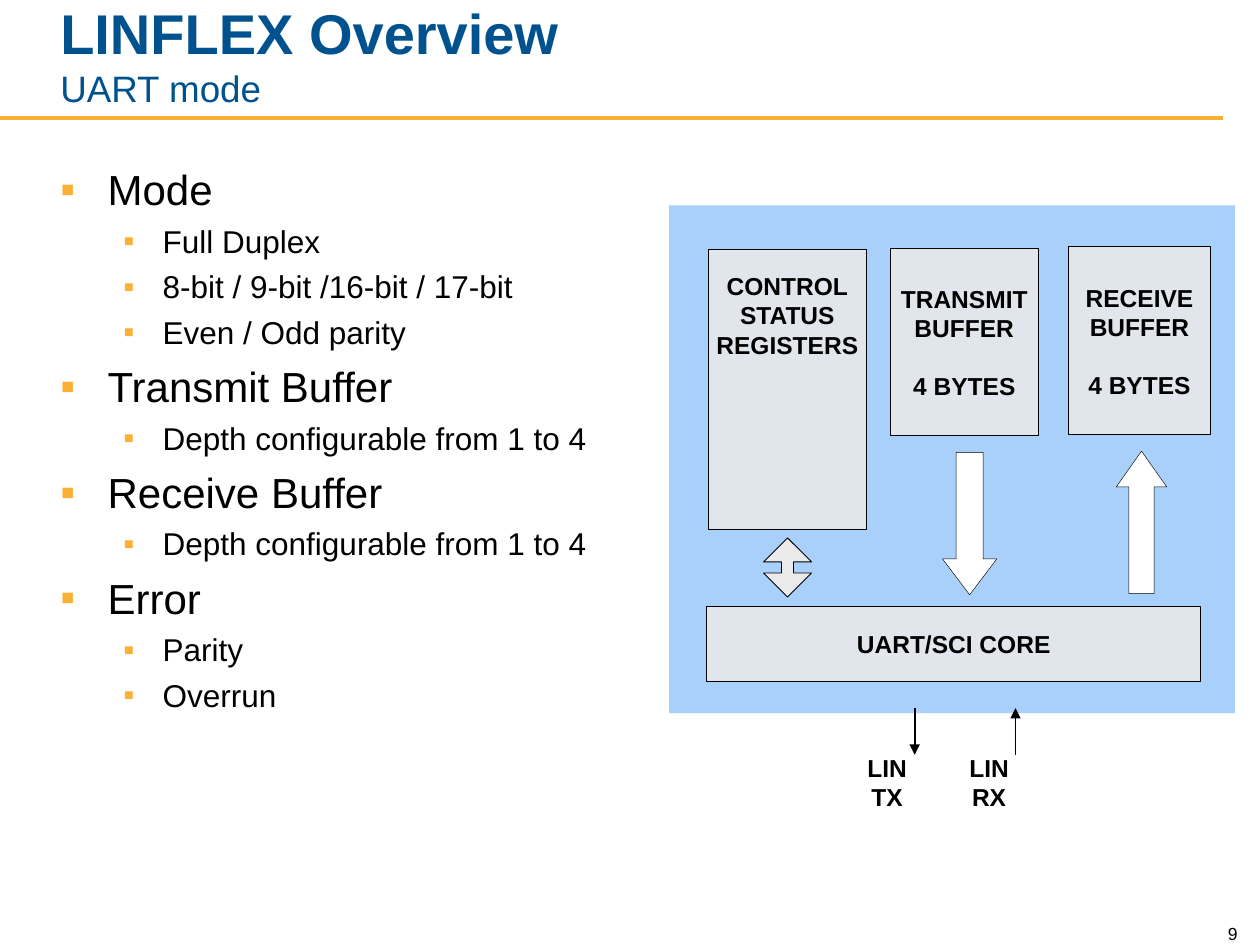
from lxml import etree
from pptx import Presentation
from pptx.dml.color import RGBColor
from pptx.enum import shapes, text
from pptx.oxml import ns
from pptx.util import Pt

COLORS = {
    "black": "000000", "white": "FFFFFF", "blue": "00528E",
    "amber": "FBB034", "panel": "7AB7FA", "block": "EAEAEA",
}
SHAPE = shapes.MSO_SHAPE
ALIGN = text.PP_ALIGN
ANCHOR = text.MSO_ANCHOR
LABEL = {"size": Pt(14), "bold": True}

OUTLINE = [
    ("Mode", ["Full Duplex", "8-bit / 9-bit /16-bit / 17-bit", "Even / Odd parity"]),
    ("Transmit Buffer", ["Depth configurable from 1 to 4"]),
    ("Receive Buffer", ["Depth configurable from 1 to 4"]),
    ("Error", ["Parity", "Overrun"]),
]
# Per level: left margin, hanging indent, space before, font size
LEVELS = [(27, 27, 5.7, 24), (58.5, 22.5, 4.4, 18)]


def rgb(name):
    return RGBColor.from_string(COLORS[name])


def sub(parent, tag, **attrs):
    return etree.SubElement(parent, ns.qn(tag), **attrs)


def format_font(font, color="black", **values):
    for name, value in {"name": "Arial", **values}.items():
        setattr(font, name, value)
    font.color.rgb = rgb(color)


def add_run(p, content, color="black", **values):
    r = p.add_run()
    r.text = content
    format_font(r.font, color, **values)


def add_text(s, box, anchor=ANCHOR.TOP, **frame):
    tf = s.shapes.add_textbox(*map(Pt, box)).text_frame
    for name, value in {"word_wrap": True, "vertical_anchor": anchor, **frame}.items():
        setattr(tf, name, value)
    return tf


def add_title(s, title, subtitle):
    p = add_text(s, (27.4, 12.2, 588.2, 54), ANCHOR.BOTTOM).paragraphs[0]
    add_run(p, title, "blue", size=Pt(32), bold=True)
    p.add_line_break()
    add_run(p, subtitle, "blue", size=Pt(21))


def add_outline(s):
    tf = add_text(s, (27.4, 90, 357.1, 390.2))
    items = [(level, line) for head, details in OUTLINE
             for level, line in [(0, head)] + [(1, d) for d in details]]
    for i, (level, line) in enumerate(items):
        margin, hang, gap, size = LEVELS[level]
        p = tf.add_paragraph() if i else tf.paragraphs[0]
        p.level = level
        p.space_before = Pt(gap if i else 0)
        ppr = p._p.get_or_add_pPr()
        ppr.set("marL", str(Pt(margin)))
        ppr.set("indent", str(-Pt(hang)))
        sub(sub(ppr, "a:buClr"), "a:srgbClr", val=COLORS["amber"])
        sub(ppr, "a:buFont", typeface="Arial")
        sub(ppr, "a:buChar", char="▪")
        add_run(p, line, size=Pt(size))


def add_shape(s, kind, box, fill, line=None, opacity=None, adjust=()):
    sp = s.shapes.add_shape(kind, *map(Pt, box))
    sp.shadow.inherit = False
    sp.fill.solid()
    sp.fill.fore_color.rgb = rgb(fill)
    if opacity:
        color = sp._element.spPr.find(ns.qn("a:solidFill"))[0]
        sub(color, "a:alpha", val=str(opacity * 1000))
    if line:
        sp.line.color.rgb = rgb("black")
        sp.line.width = Pt(line)
    else:
        sp.line.fill.background()
    for i, value in enumerate(adjust):
        sp.adjustments[i] = value
    return sp


def add_block(s, box, lines, note=None, anchor=ANCHOR.MIDDLE, top=3.6):
    tf = add_shape(s, SHAPE.RECTANGLE, box, "block", 0.5, 85).text_frame
    frame = {"word_wrap": False, "vertical_anchor": anchor, "margin_top": Pt(top)}
    for name, value in frame.items():
        setattr(tf, name, value)
    tf.text = "\n".join(lines + ([note] if note else []))
    for p in tf.paragraphs:
        p.alignment = ALIGN.CENTER
        for r in p.runs:
            format_font(r.font, **LABEL)
    if note:
        tf.paragraphs[-1].space_before = Pt(16.1)


def add_line(s, start, end, color, width, arrow=False):
    c = s.shapes.add_connector(shapes.MSO_CONNECTOR.STRAIGHT, *map(Pt, start + end))
    c.line.color.rgb = rgb(color)
    c.line.width = Pt(width)
    if arrow:
        sub(c.line._get_or_add_ln(), "a:tailEnd", type="triangle")
    sub(c._element.spPr, "a:effectLst")


def add_pin_label(s, left, content):
    tf = add_text(s, (left, 426.6, 37.4, 40), margin_left=Pt(3.6), margin_right=Pt(3.6))
    p = tf.paragraphs[0]
    p.alignment = ALIGN.CENTER
    add_run(p, content, **LABEL)


def add_diagram(s):
    add_shape(s, SHAPE.RECTANGLE, (382.3, 117.4, 323.3, 290.2), "panel", opacity=65)

    # External pins
    pin_top, pin_bottom = 404.6, 431.3
    add_line(s, (522.7, pin_top), (522.7, pin_bottom), "black", 1, arrow=True)
    add_line(s, (580.3, pin_bottom), (580.3, pin_top), "black", 1, arrow=True)
    add_pin_label(s, 488.2, "LIN TX")
    add_pin_label(s, 546.5, "LIN RX")

    # Functional blocks
    add_block(s, (404.6, 142.6, 90.7, 159.8), ["CONTROL", "STATUS", "REGISTERS"],
              anchor=ANCHOR.TOP, top=12.2)
    add_block(s, (509, 141.8, 84.2, 107.3), ["TRANSMIT", "BUFFER"], "4 BYTES")
    add_block(s, (610.5, 141.1, 81.4, 107.3), ["RECEIVE", "BUFFER"], "4 BYTES")
    add_block(s, (403.9, 346.3, 282.2, 43.2), ["UART/SCI CORE"])

    # Data flow between the core and the blocks
    add_shape(s, SHAPE.UP_DOWN_ARROW, (436.3, 307.4, 27.4, 33.8), "block", 0.5,
              adjust=(0.5, 0.25))
    add_shape(s, SHAPE.DOWN_ARROW, (538.6, 258.5, 31, 81.4), "white", 0.25,
              adjust=(0.5, 0.66))
    add_shape(s, SHAPE.UP_ARROW, (637.9, 257.8, 28.8, 81.4), "white", 0.25,
              adjust=(0.5, 0.71))


def add_slide_number(s, number):
    p = add_text(s, (678.2, 521.3, 36, 21.6), ANCHOR.BOTTOM).paragraphs[0]
    p.alignment = ALIGN.RIGHT
    add_run(p, number, size=Pt(10))


def main():
    prs = Presentation()
    prs.slide_width, prs.slide_height = Pt(720), Pt(540)
    s = prs.slides.add_slide(prs.slide_layouts[6])
    # Header rule and page number
    add_line(s, (0, 67.7), (699, 67.7), "amber", 2.25)
    add_slide_number(s, "9")
    # Content
    add_title(s, "LINFLEX Overview", "UART mode")
    add_outline(s)
    add_diagram(s)
    prs.save("out.pptx")


if __name__ == "__main__":
    main()
